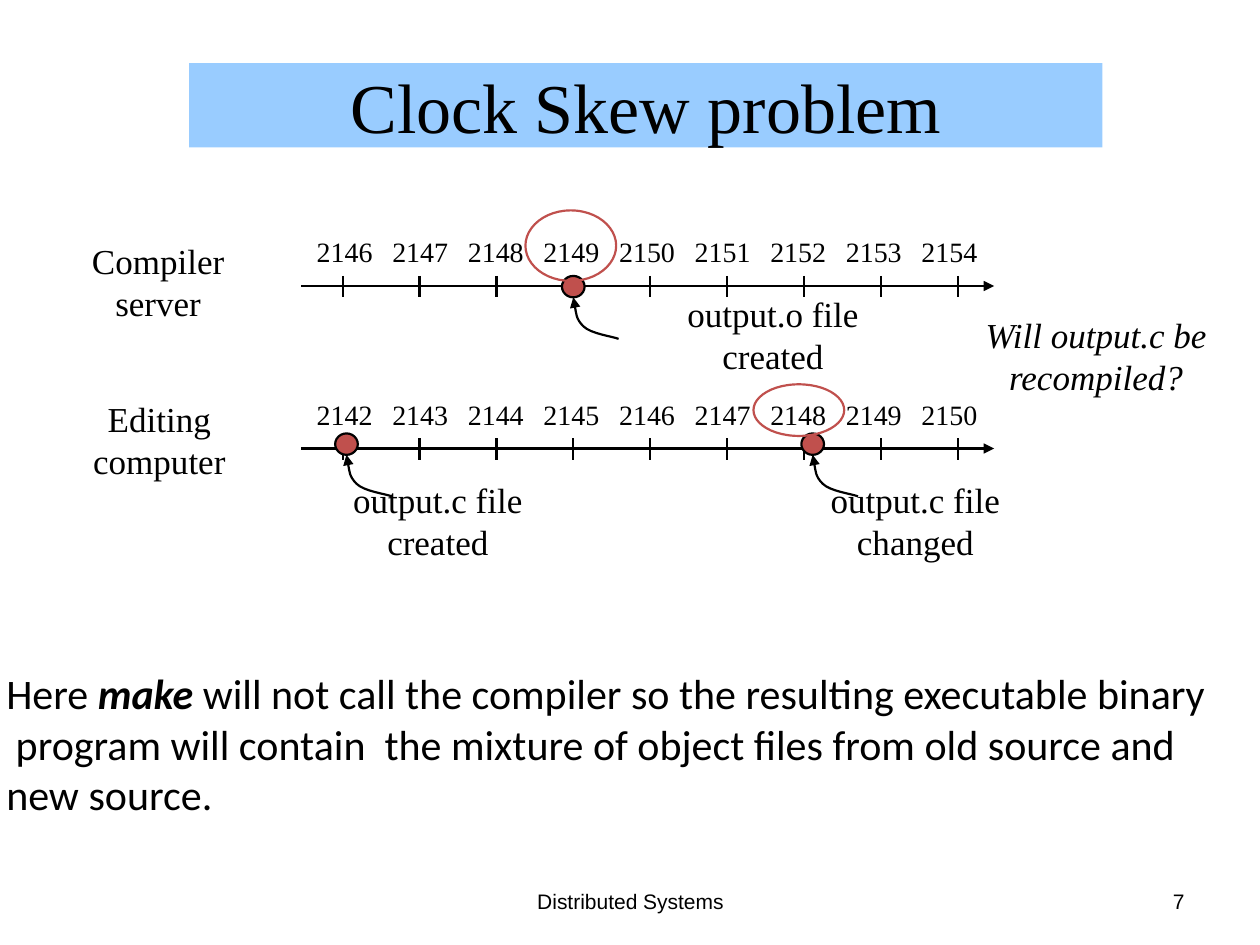
from dataclasses import dataclass

from lxml.etree import SubElement
from pptx import Presentation
from pptx.dml.color import RGBColor
from pptx.enum.shapes import MSO_CONNECTOR, MSO_SHAPE
from pptx.enum.text import MSO_ANCHOR, MSO_AUTO_SIZE, PP_ALIGN
from pptx.oxml.ns import qn
from pptx.util import Inches, Pt


@dataclass(frozen=True)
class Theme:
    ink: RGBColor = RGBColor(0, 0, 0)
    band: RGBColor = RGBColor(0x99, 0xCC, 0xFF)
    red: RGBColor = RGBColor(0xC0, 0x50, 0x4D)
    serif: str = "Times New Roman"
    sans: str = "Calibri"
    foot: str = "Arial"
    title: float = 40
    body: float = 24
    label: float = 20
    tick: float = 16
    small: float = 12
    line: float = 1.25


THEME = Theme()
CURVE = [(0.36, 0.33), (0.31, 0.31), (0.14, 0.29), (0.08, 0.23),
         (0.02, 0.17), (0.01, 0.04), (0, 0)]


def style(par, size, font, align=PP_ALIGN.CENTER, italic=False):
    par.alignment = align
    for run in par.runs:
        run.font.size = Pt(size)
        run.font.name = font
        run.font.italic = italic
        run.font.color.rgb = THEME.ink


def add_text(shapes, text, box, size, font=THEME.serif, inset=0.1, wrap=True,
             align=PP_ALIGN.CENTER, italic=False):
    frame = shapes.add_textbox(*map(Inches, box)).text_frame
    frame.word_wrap = wrap
    frame.auto_size = MSO_AUTO_SIZE.NONE
    frame.vertical_anchor = MSO_ANCHOR.MIDDLE
    frame.margin_left = frame.margin_right = Inches(inset)
    frame.text = text
    for par in frame.paragraphs:
        style(par, size, font, align, italic)
    return frame


def set_line(shape, color=THEME.ink, arrow=False):
    shape.line.color.rgb = color
    shape.line.width = Pt(THEME.line)
    if arrow:
        SubElement(shape.line._get_or_add_ln(), qn("a:tailEnd"), type="triangle")


def add_line(shapes, start, end, arrow=False):
    line = shapes.add_connector(MSO_CONNECTOR.STRAIGHT,
                                *map(Inches, start + end))
    set_line(line, arrow=arrow)
    SubElement(line.element.spPr, qn("a:effectLst"))


def add_oval(shapes, box, fill=None, color=THEME.ink):
    oval = shapes.add_shape(MSO_SHAPE.OVAL, *map(Inches, box))
    oval.shadow.inherit = False
    if fill is None:
        oval.fill.background()
    else:
        oval.fill.solid()
        oval.fill.fore_color.rgb = fill
    set_line(oval, color)


def add_curve(shapes, x, y):
    """Draw a bent arrow whose tip is at x, y."""
    first, *rest = [(Inches(x + dx), Inches(y + dy)) for dx, dy in CURVE]
    pen = shapes.build_freeform(*first)
    pen.add_line_segments(rest, close=False)
    curve = pen.convert_to_shape()
    curve.shadow.inherit = False
    curve.fill.background()
    set_line(curve, arrow=True)
    # Each three straight segments become one cubic curve.
    trace = next(curve.element.iter(qn("a:moveTo"))).getparent()
    parts = trace.findall(qn("a:lnTo"))
    for i in range(0, len(parts), 3):
        cubic = SubElement(trace, qn("a:cubicBezTo"))
        for part in parts[i:i + 3]:
            cubic.append(part[0])
            trace.remove(part)


def add_axis(slide, y, first):
    """Draw a time line with nine ticks, numbered from first."""
    shapes = slide.shapes.add_group_shape().shapes
    add_line(shapes, (2.39, y), (7.89, y), arrow=True)
    for i in range(9):
        x = 2.72 + 0.61 * i
        add_line(shapes, (x, y - 0.08), (x, y + 0.09))
    for i in range(9):
        add_text(shapes, str(first + i), (2.41 + 0.6 * i, y - 0.46, 0.65, 0.37),
                 THEME.tick, wrap=False)


def add_title(slide, text):
    title = slide.shapes.title
    title.left, title.top = Inches(1.5), Inches(0.5)
    title.width, title.height = Inches(7.25), Inches(0.67)
    title.fill.solid()
    title.fill.fore_color.rgb = THEME.band
    frame = title.text_frame
    frame.text = text
    frame.auto_size = MSO_AUTO_SIZE.NONE
    frame.vertical_anchor = MSO_ANCHOR.MIDDLE
    style(frame.paragraphs[0], THEME.title, THEME.serif)


def add_note(slide):
    frame = add_text(
        slide.shapes,
        "Here \n"
        " program will contain  the mixture of object files from old source and\n"
        "new source.",
        (0, 5.25, 9.76, 1.31), THEME.body, THEME.sans, 0.05,
        align=PP_ALIGN.LEFT)
    frame.vertical_anchor = MSO_ANCHOR.TOP
    par = frame.paragraphs[0]
    make = par.add_run()
    make.text = "make"
    par.add_run().text = (" will not call the compiler so the resulting "
                          "executable binary")
    style(par, THEME.body, THEME.sans, PP_ALIGN.LEFT)
    make.font.bold = make.font.italic = True


def main():
    deck = Presentation()
    deck.slide_width, deck.slide_height = Inches(10), Inches(7.5)
    slide = deck.slides.add_slide(deck.slide_layouts[5])
    shapes = slide.shapes

    add_title(slide, "Clock Skew problem")
    add_axis(slide, 2.27, 2146)
    add_axis(slide, 3.56, 2142)

    for x, y in [(4.46, 2.19), (2.66, 3.44), (6.36, 3.44)]:
        add_oval(shapes, (x, y, 0.18, 0.17), THEME.red)
        add_curve(shapes, x + 0.09, y + 0.17)
    for box in [(4.17, 1.67, 0.72, 0.56), (5.98, 3.05, 0.72, 0.41)]:
        add_oval(shapes, box, color=THEME.red)

    for text, x, y, width in [
        ("Compiler server", 0.26, 2.02, 1.99),
        ("Editing computer", 0.2, 3.27, 2.13),
        ("output.o file created", 4.92, 2.44, 2.43),
        ("output.c file created", 2.27, 3.92, 2.41),
        ("output.c file changed", 6, 3.92, 2.53),
    ]:
        add_text(shapes, text, (x, y, width, 0.43), THEME.label, inset=0.25)
    add_text(shapes, "Will output.c be recompiled?", (7.63, 2.44, 2.14, 0.77),
             THEME.label, italic=True)
    add_note(slide)

    add_text(shapes, "Distributed Systems", (3.42, 6.95, 3.17, 0.4),
             THEME.small, THEME.foot)
    add_text(shapes, "7", (7.17, 6.95, 2.33, 0.4), THEME.small, THEME.foot,
             align=PP_ALIGN.RIGHT)
    deck.save("out.pptx")


if __name__ == "__main__":
    main()
